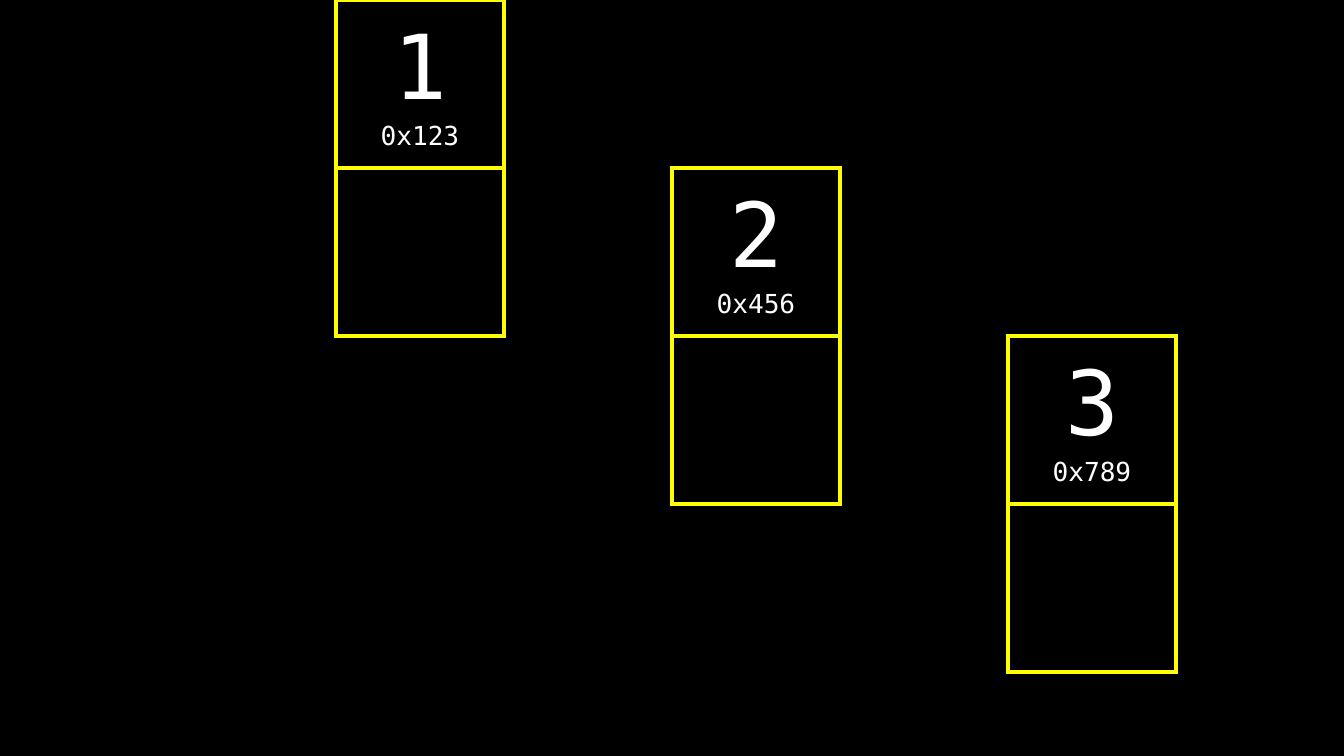
import dataclasses

import pptx
import pptx.dml.color
import pptx.enum.text
import pptx.oxml
import pptx.oxml.ns
import pptx.util

EMU_PER_PX = 914400 / 134.4
SLIDE_WIDTH, SLIDE_HEIGHT = 1344, 756
CELL_SIZE = 168
CELL_MARGIN = 13
ROWS, COLUMNS = 5, 8

# Linked-list nodes: (row, column) of the value cell, with its pointer cell below.
NODES = {
    (0, 2): ("1", "0x123"),
    (1, 4): ("2", "0x456"),
    (2, 6): ("3", "0x789"),
}
# Border tag and the step to the cell across that border.
SIDES = {"lnL": (0, -1), "lnR": (0, 1), "lnT": (-1, 0), "lnB": (1, 0)}


@dataclasses.dataclass(frozen=True)
class Theme:
    background: str = "000000"
    text: str = "FFFFFF"
    border: str = "FFFF00"
    font: str = "DejaVu Sans Mono"
    value_size: int = 48
    address_size: int = 14
    border_width: int = 3


THEME = Theme()


def px(length):
    return pptx.util.Emu(round(length * EMU_PER_PX))


def rgb(code):
    return pptx.dml.color.RGBColor.from_string(code)


def set_border(cell, side, visible):
    paint = (
        f'<a:solidFill><a:srgbClr val="{THEME.border}"/></a:solidFill>'
        if visible
        else "<a:noFill/>"
    )
    width = pptx.util.Pt(THEME.border_width)
    cell_properties = cell._tc.get_or_add_tcPr()
    cell_properties.append(
        pptx.oxml.parse_xml(
            f'<a:{side} {pptx.oxml.ns.nsdecls("a")} w="{int(width)}">{paint}</a:{side}>'
        )
    )


def style_cell(cell, position, boxed):
    """Draw every side that touches a boxed cell, from both of its neighbours."""
    row, column = position
    for side, (down, across) in SIDES.items():
        neighbour = (row + down, column + across)
        set_border(cell, side, position in boxed or neighbour in boxed)
    cell.fill.background()


def write_node(cell, value, address):
    cell.vertical_anchor = pptx.enum.text.MSO_ANCHOR.MIDDLE
    cell.margin_left = cell.margin_right = px(CELL_MARGIN)
    cell.margin_top = cell.margin_bottom = px(CELL_MARGIN)
    cell.text_frame.text = f"{value}\n{address}"
    sizes = (THEME.value_size, THEME.address_size)
    for paragraph, size in zip(cell.text_frame.paragraphs, sizes):
        paragraph.alignment = pptx.enum.text.PP_ALIGN.CENTER
        font = paragraph.runs[0].font
        font.name = THEME.font
        font.size = pptx.util.Pt(size)
        font.color.rgb = rgb(THEME.text)


def add_memory_grid(slide):
    grid = slide.shapes.add_table(
        ROWS, COLUMNS, 0, 0, px(COLUMNS * CELL_SIZE), px(ROWS * CELL_SIZE)
    ).table
    grid.first_row = False
    grid.horz_banding = False
    for column in grid.columns:
        column.width = px(CELL_SIZE)
    for row in grid.rows:
        row.height = px(CELL_SIZE)

    boxed = set(NODES) | {(row + 1, column) for row, column in NODES}
    for row in range(ROWS):
        for column in range(COLUMNS):
            style_cell(grid.cell(row, column), (row, column), boxed)
    for position, (value, address) in NODES.items():
        write_node(grid.cell(*position), value, address)


def main():
    presentation = pptx.Presentation()
    presentation.slide_width = px(SLIDE_WIDTH)
    presentation.slide_height = px(SLIDE_HEIGHT)
    slide = presentation.slides.add_slide(presentation.slide_layouts[6])
    slide.background.fill.solid()
    slide.background.fill.fore_color.rgb = rgb(THEME.background)
    add_memory_grid(slide)
    presentation.save("out.pptx")


if __name__ == "__main__":
    main()
